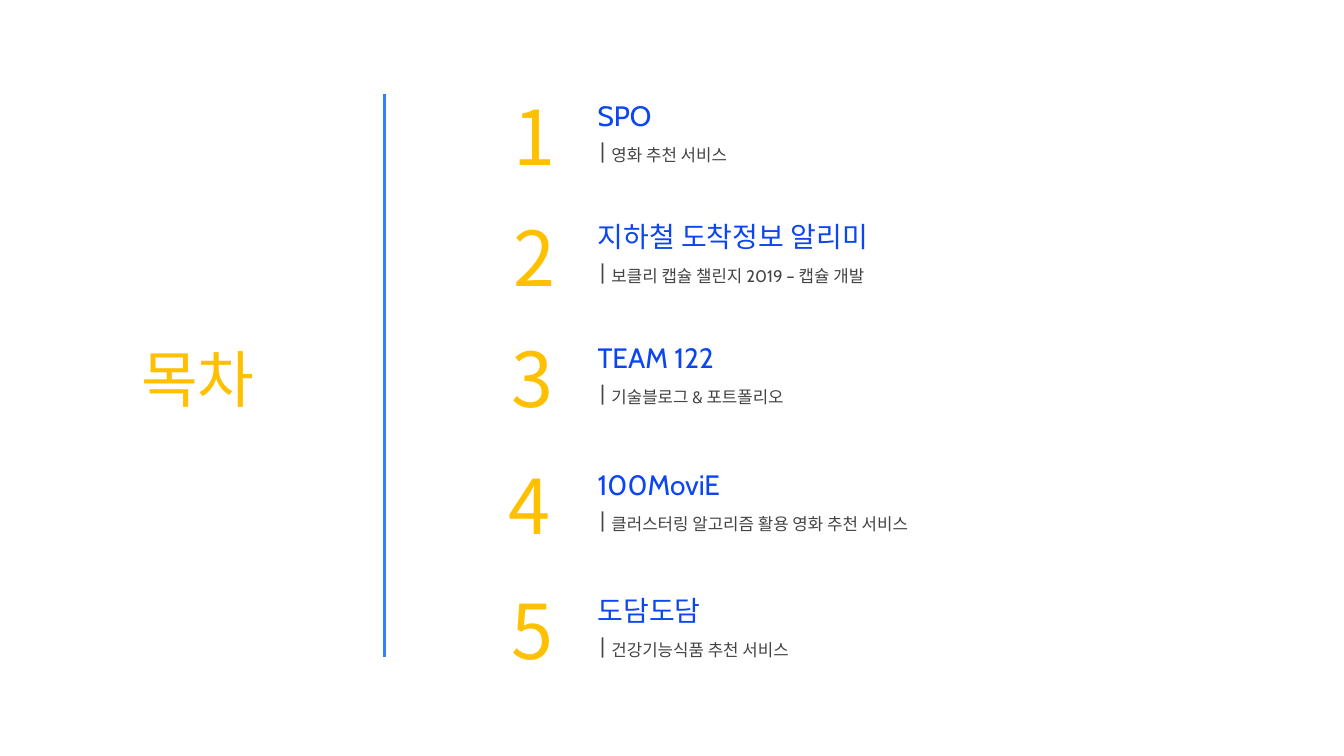
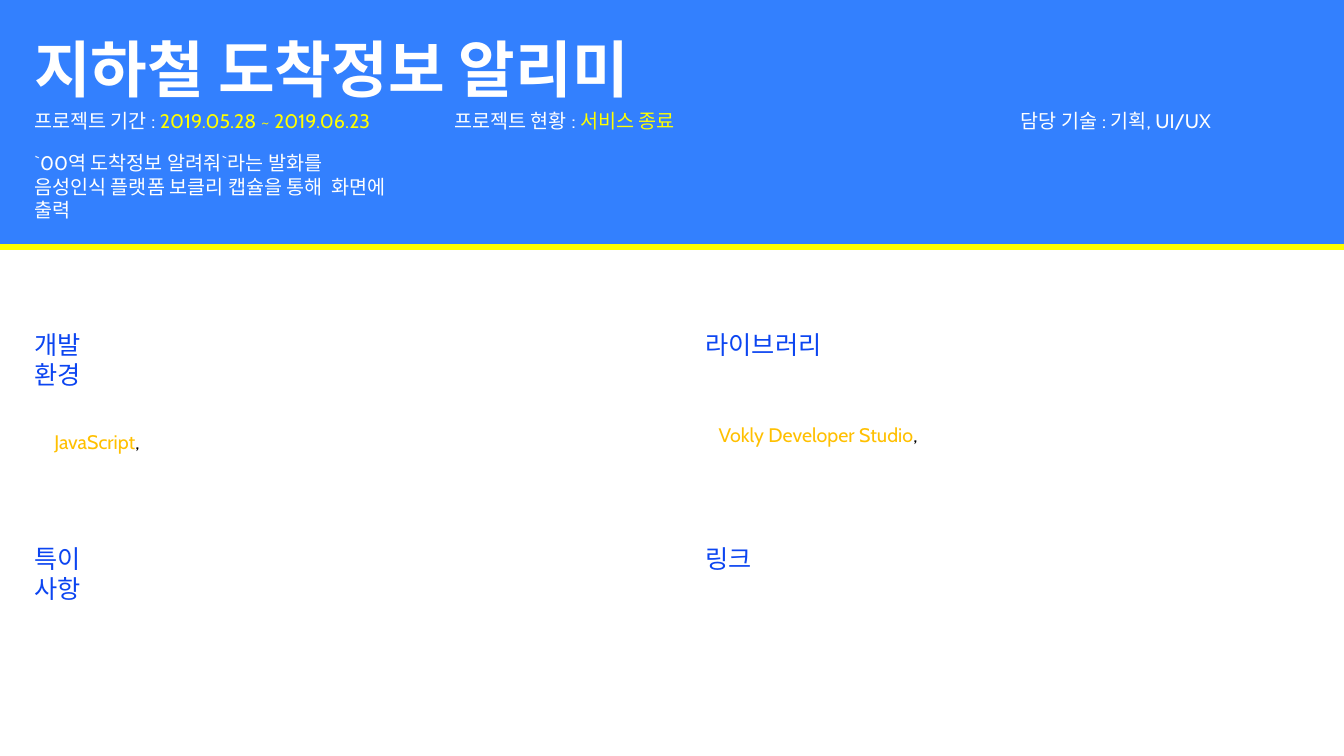
"""Build a portfolio contents slide and a project slide."""
from lxml import etree
from pptx import Presentation
from pptx import oxml
from pptx.dml import color as col
from pptx.enum import shapes, text
from pptx.oxml import ns
from pptx.util import Cm, Pt

WIDE, HIGH = 33.87, 19.05
HUES = {
    "blue": "3380FE",
    "ink": "0C45F1",
    "gold": "FFC000",
    "lemon": "FFFF00",
    "gray": "444444",
    "bar": "464646",
    "white": "FFFFFF",
    "black": "000000",
}
SANS, HAN = "Cabin", "Noto Sans CJK KR"


class Deck:
    """Hold the style and the current slide."""

    def __init__(self):
        self.prs = Presentation()
        self.prs.slide_width, self.prs.slide_height = Cm(WIDE), Cm(HIGH)
        self.slide = None

    def hue(self, name):
        return col.RGBColor.from_string(HUES[name])

    def add(self, layout):
        self.slide = self.prs.slides.add_slide(self.prs.slide_layouts[layout])

    def place(self, shape, box):
        shape.left, shape.top, shape.width, shape.height = map(Cm, box)

    def fill(self, shape, paras, size, font=SANS, bold=False, center=False):
        frame = shape.text_frame
        frame.word_wrap = True
        frame.auto_size = text.MSO_AUTO_SIZE.NONE
        frame.vertical_anchor = text.MSO_ANCHOR.TOP
        for num, runs in enumerate(paras):
            para = frame.add_paragraph() if num else frame.paragraphs[0]
            para.alignment = text.PP_ALIGN.CENTER if center else text.PP_ALIGN.LEFT
            para.space_before = Pt(0)
            for words, name in runs:
                run = para.add_run()
                run.text = words
                face = run.font
                face.size, face.name, face.bold = Pt(size), font, bold
                face.color.rgb = self.hue(name)
                east = oxml.parse_xml(f'<a:ea {ns.nsdecls("a")} typeface="{HAN}"/>')
                run._r.rPr.find(ns.qn("a:latin")).addnext(east)

    def title(self, words, box, name, bold=False):
        shape = self.slide.shapes.title
        self.place(shape, box)
        self.fill(shape, [[(words, name)]], 44, HAN, bold)

    def body(self, lines, box, size, name):
        shape = self.slide.placeholders[1]
        self.place(shape, box)
        self.fill(shape, [[(line, name)] for line in lines], size)
        for para in shape.text_frame.paragraphs:
            props = para._p.get_or_add_pPr()
            props.set("marL", "0")
            props.set("indent", "0")
            etree.SubElement(props, ns.qn("a:buNone"))

    def label(self, runs, box, size, **style):
        shape = self.slide.shapes.add_textbox(*map(Cm, box))
        self.fill(shape, [runs], size, **style)

    def block(self, box, name):
        shape = self.slide.shapes.add_shape(
            shapes.MSO_SHAPE.RECTANGLE, *map(Cm, box))
        shape.shadow.inherit = False
        shape.fill.solid()
        shape.fill.fore_color.rgb = self.hue(name)
        shape.line.fill.background()
        return shape

    def band(self, high, name):
        shape = self.block((0, 0, WIDE, high), name)
        shape.element.getparent().insert(2, shape.element)

    def rule(self, ends, name, width):
        line = self.slide.shapes.add_connector(
            shapes.MSO_CONNECTOR.STRAIGHT, *map(Cm, ends))
        line.line.color.rgb = self.hue(name)
        line.line.width = Pt(width)
        etree.SubElement(line.element.spPr, ns.qn("a:effectLst"))


def agenda(deck):
    """Draw the contents slide."""
    deck.add(5)
    deck.title("목차", (3.3, 8.46, 3.7, 2.13), "gold")
    deck.rule((9.7, 2.36, 9.7, 16.56), "blue", 2)
    rows = [
        (12.65, 2.36, "SPO", "영화 추천 서비스"),
        (12.65, 5.41, "지하철 도착정보 알리미", "보클리 캡슐 챌린지 2019 – 캡슐 개발"),
        (12.6, 8.46, "TEAM 122", "기술블로그 & 포트폴리오"),
        (12.52, 11.66, "100MoviE", "클러스터링 알고리즘 활용 영화 추천 서비스"),
        (12.6, 14.83, "도담도담", "건강기능식품 추천 서비스"),
    ]
    for num, (left, top, head, note) in enumerate(rows, 1):
        deck.label([(str(num), "gold")], (left, top - 0.23, 1.65, 2.56), 54,
                   font=HAN, center=True)
        deck.label([(head, "ink")], (14.81, top, 18, 1.12), 20)
        deck.label([(note, "gray")], (15.16, top + 1.17, 18, 0.76), 12)
        deck.block((15.16, top + 1.23, 0.05, 0.51), "bar")


def project(deck):
    """Draw the project slide."""
    deck.add(1)
    deck.band(6.22, "blue")
    deck.rule((0, 6.22, WIDE, 6.22), "lemon", 4.5)
    deck.title("지하철 도착정보 알리미", (0.61, 0.66, 16.5, 2.13), "white", True)
    deck.body(["`00역 도착정보 알려줘`라는 발화를",
               "음성인식 플랫폼 보클리 캡슐을 통해  화면에 출력"],
              (0.61, 3.68, 10.2, 2.1), 14, "white")
    facts = [
        (0.61, 9.9, [("프로젝트 기간 : ", "white"),
                     ("2019.05.28 ~ 2019.06.23", "lemon")]),
        (11.2, 6.8, [("프로젝트 현황 : ", "white"), ("서비스 종료", "lemon")]),
        (25.48, 5.41, [("담당 기술 : 기획, UI/UX", "white")]),
    ]
    for left, wide, runs in facts:
        deck.label(runs, (left, 2.62, wide, 0.86), 14)
    heads = [("개발 환경", "라이브러리"), ("특이 사항", "링크")]
    for row, pair in enumerate(heads):
        for head, left, wide in zip(pair, (0.61, 17.53), (2.9, 3.8)):
            deck.label([(head, "ink")], (left, 8.18 + row * 5.38, wide, 1.02), 18)
    tools = [("JavaScript", (1.12, 10.72, 3.38, 0.86)),
             ("Vokly Developer Studio", (17.86, 10.54, 6.8, 0.86))]
    for tool, box in tools:
        deck.label([(tool, "gold"), (",", "black")], box, 14)


def main():
    """Build and save the deck."""
    deck = Deck()
    agenda(deck)
    project(deck)
    deck.prs.save("out.pptx")


if __name__ == "__main__":
    main()
